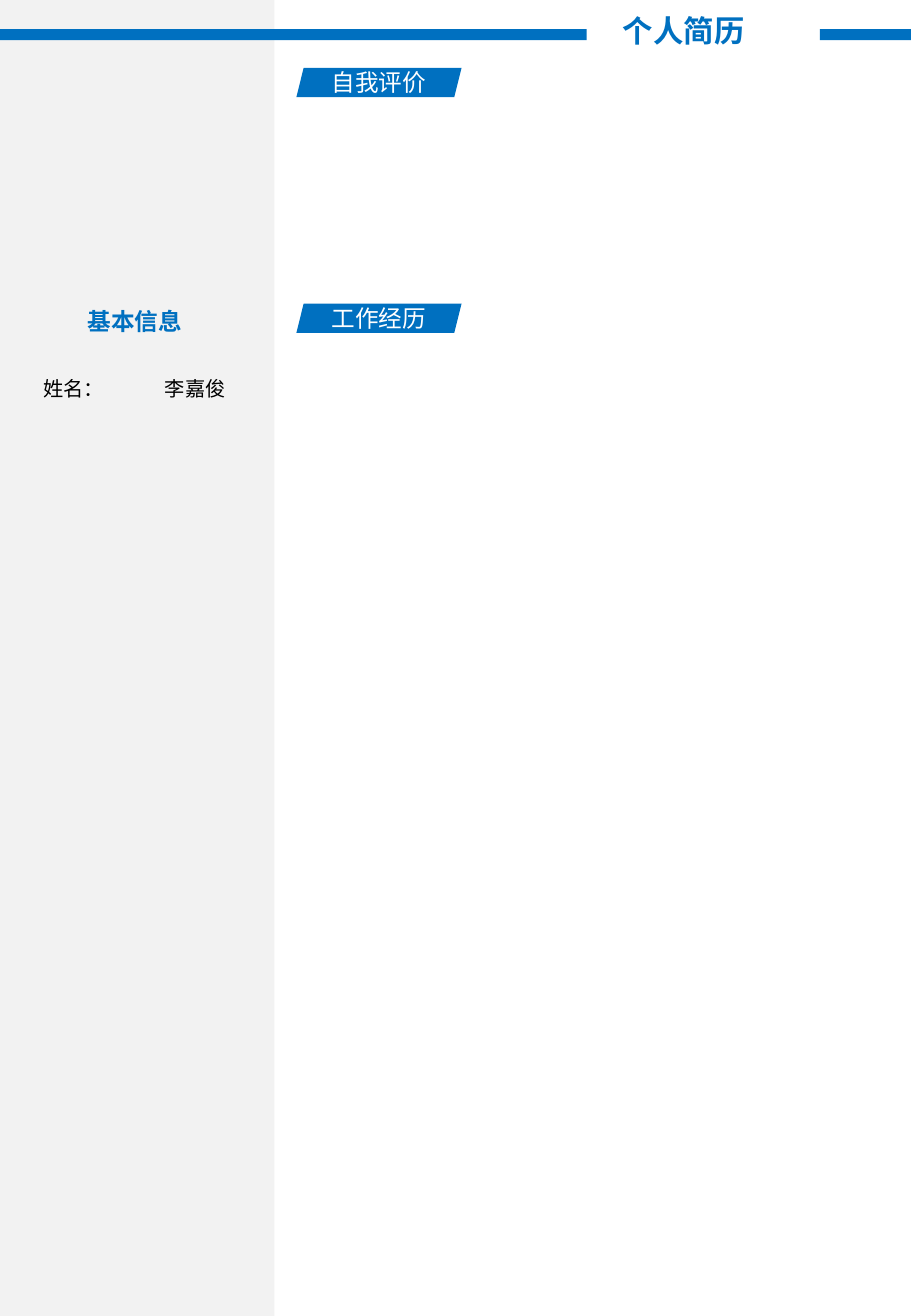
from pptx import Presentation
from pptx.dml.color import RGBColor
from pptx.enum.shapes import MSO_SHAPE
from pptx.enum.text import MSO_ANCHOR, PP_ALIGN
from pptx.oxml.ns import qn
from lxml.etree import SubElement

PX = 9144  # 100 px to the inch
WIDTH, HEIGHT = 750, 1083
FONT = "Noto Sans CJK SC"
BLUE, GREY, WHITE, BLACK = "0070C0", "F2F2F2", "FFFFFF", "000000"


def color(code):
    return RGBColor.from_string(code)


def scale(*box):
    return [n * PX for n in box]


def block(slide, box, fill, kind=MSO_SHAPE.RECTANGLE):
    shape = slide.shapes.add_shape(kind, *scale(*box))
    shape.shadow.inherit = False
    shape.fill.solid()
    shape.fill.fore_color.rgb = color(fill)
    shape.line.fill.background()
    return shape


def write(shape, text, size, ink, align, bold=False):
    para = shape.text_frame.paragraphs[0]
    para.alignment = align
    run = para.add_run()
    run.text = text
    font = run.font
    font.name, font.size, font.bold = FONT, size * 12700, bold
    font.color.rgb = color(ink)
    # East Asian typeface
    SubElement(font._element, qn("a:ea")).set("typeface", FONT)
    return para


def label(slide, box, text, size, ink, align, bold=False):
    shape = slide.shapes.add_textbox(*scale(*box))
    shape.text_frame.word_wrap = True
    return write(shape, text, size, ink, align, bold)


def header(slide, x, y, w):
    # Blue rule, broken around the title
    for left, right in ((0, 483), (675, w)):
        block(slide, (x + left, y + 24, right - left, 9), BLUE)
    label(slide, (x + 503, y + 5, 155, 40), "个人简历", 18, BLUE,
          PP_ALIGN.JUSTIFY, True)


def section(slide, x, y, title):
    # Slanted heading
    tab = block(slide, (x, y, 136, 24), BLUE, MSO_SHAPE.PARALLELOGRAM)
    frame = tab.text_frame
    frame.margin_left = frame.margin_right = 0
    frame.margin_top = frame.margin_bottom = 0
    frame.word_wrap = False
    frame.vertical_anchor = MSO_ANCHOR.MIDDLE
    write(tab, title, 14, WHITE, PP_ALIGN.CENTER)


def profile(slide, x, y):
    # Personal details in the side panel
    label(slide, (x + 28, y, 114, 34), "基本信息", 14, BLUE,
          PP_ALIGN.CENTER, True)
    entry = label(slide, (x, y + 47, 185, 61), "姓名：\t李嘉俊", 12, BLACK,
                  PP_ALIGN.LEFT)
    entry.line_spacing = 1.5


def main():
    deck = Presentation()
    deck.slide_width, deck.slide_height = scale(WIDTH, HEIGHT)
    slide = deck.slides.add_slide(deck.slide_layouts[6])
    block(slide, (0, 0, 226, HEIGHT), GREY)
    header(slide, 0, 0, WIDTH)
    for y, title in ((56, "自我评价"), (250, "工作经历")):
        section(slide, 244, y, title)
    profile(slide, 26, 248)
    deck.save("out.pptx")


if __name__ == "__main__":
    main()
